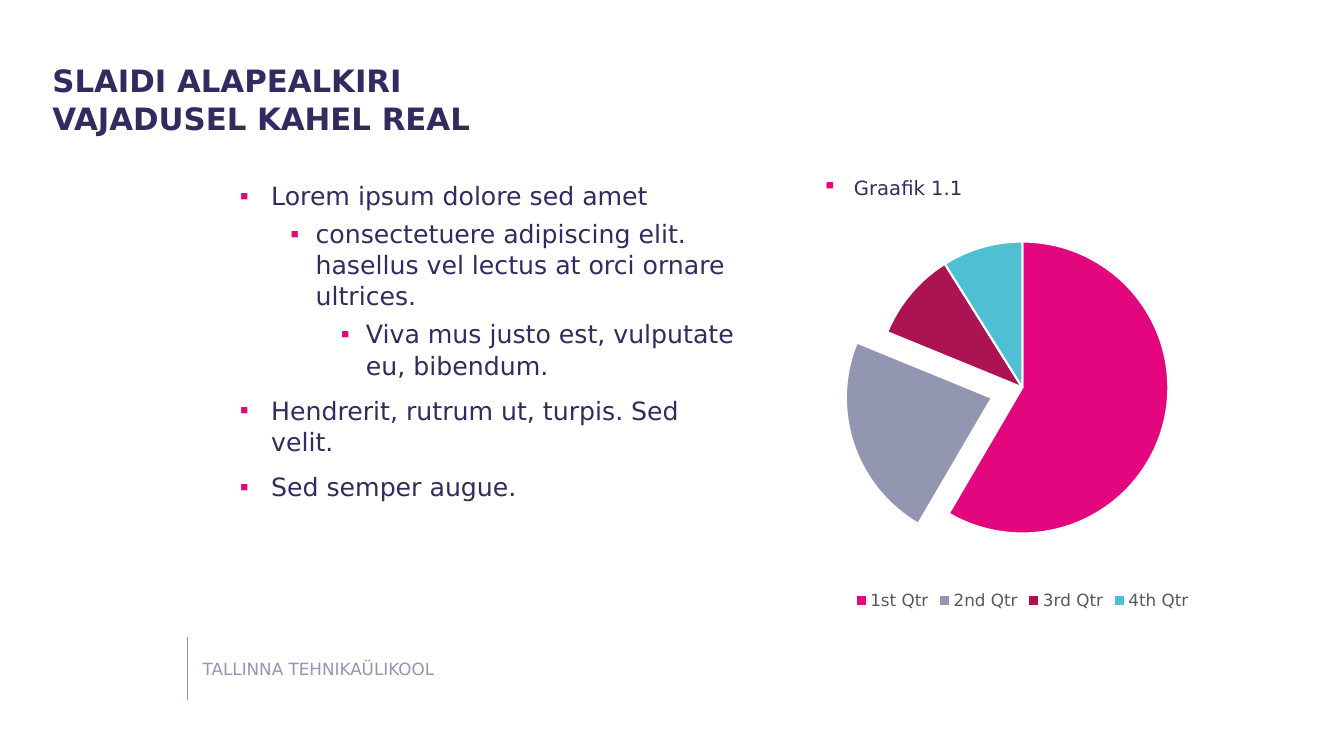
"""Build a slide with a multilevel list and a pie chart."""
from pptx import Presentation
from pptx.chart.data import CategoryChartData
from pptx.dml.color import RGBColor
from pptx.enum.chart import XL_CHART_TYPE, XL_LEGEND_POSITION
from pptx.enum.shapes import MSO_CONNECTOR
from pptx.enum.text import MSO_ANCHOR, MSO_AUTO_SIZE, PP_ALIGN
from pptx.oxml.ns import qn
from pptx.util import Inches, Pt
from lxml import etree

PIE = XL_CHART_TYPE.PIE
BOTTOM = XL_LEGEND_POSITION.BOTTOM
STRAIGHT = MSO_CONNECTOR.STRAIGHT
TOP = MSO_ANCHOR.TOP
NO_FIT = MSO_AUTO_SIZE.NONE
LEFT = PP_ALIGN.LEFT

TITLE = "SLAIDI ALAPEALKIRI\vVAJADUSEL KAHEL REAL"
BULLETS = [
    (0, "Lorem ipsum dolore sed amet"),
    (1, "consectetuere adipiscing elit. hasellus vel lectus at orci ornare ultrices."),
    (2, "Viva mus justo est, vulputate eu, bibendum."),
    (0, "Hendrerit, rutrum ut, turpis. Sed velit."),
    (0, "Sed semper augue."),
]
CAPTION = "Graafik 1.1"
FOOTER = "TALLINNA TEHNIKAÜLIKOOL"
QUARTERS = {"1st Qtr": 59, "2nd Qtr": 23, "3rd Qtr": 10, "4th Qtr": 9}
EXPLODED, EXPLOSION = 1, 22

BOXES = {
    "title": (0.52, 0.6, 6.68, 0.83),
    "list": (2.38, 1.78, 4.97, 4.53),
    "chart": (7.82, 1.94, 4.64, 4.16),
    "caption": (8.16, 1.77, 3.92, 0.34),
    "footer": (2.01, 6.53, 3.02, 0.19),
    "rule": (1.86, 6.32, 1.86, 6.94),
}
LEVELS = [(0.31, 0.31, 10), (0.75, 0.25, 5), (1.25, 0.25, 5)]


class Theme:
    """Colours, font and type sizes."""
    font = "DejaVu Sans"
    navy, grey, pink, white, legend = (
        RGBColor.from_string(c)
        for c in ("332B60", "9396B0", "E4067E", "FFFFFF", "595959"))
    slices = [pink, grey, RGBColor.from_string("AB1352"), RGBColor.from_string("4FBFD3")]
    title, body, caption, small = Pt(22), Pt(18), Pt(14), Pt(12)


def box(name):
    return [Inches(v) for v in BOXES[name]]


def set_attrs(obj, **values):
    for key, value in values.items():
        setattr(obj, key, value)


def set_font(font, size, color, bold=False):
    set_attrs(font, name=Theme.font, size=size, bold=bold)
    font.color.rgb = color


def add_bullet(p, level):
    margin, hang, _ = LEVELS[level]
    pPr = p._p.get_or_add_pPr()
    pPr.set("marL", str(Inches(margin)))
    pPr.set("indent", str(-Inches(hang)))
    color = etree.SubElement(pPr, qn("a:buClr"))
    etree.SubElement(color, qn("a:srgbClr"), val=str(Theme.pink))
    etree.SubElement(pPr, qn("a:buChar"), char="▪")


def fill_text(sp, name, lines, size, color, bold=False, bullets=True, spacing=1.0):
    left, top, width, height = box(name)
    set_attrs(sp, left=left, top=top, width=width, height=height)
    tf = sp.text_frame
    set_attrs(tf, margin_left=0, margin_top=0, margin_right=0, margin_bottom=0,
              word_wrap=True, auto_size=NO_FIT, vertical_anchor=TOP)
    for i, (level, text) in enumerate(lines):
        p = tf.add_paragraph() if i else tf.paragraphs[0]
        p.text = text
        if bullets:
            add_bullet(p, level)
        set_attrs(p, level=level, alignment=LEFT, line_spacing=spacing,
                  space_before=Pt(LEVELS[level][2] if i else 0), space_after=Pt(0))
        for r in p.runs:
            set_font(r.font, size, color, bold)


def add_pie(s):
    data = CategoryChartData()
    data.categories = list(QUARTERS)
    data.add_series("Series 1", list(QUARTERS.values()))
    chart = s.shapes.add_chart(PIE, *box("chart"), data).chart
    set_attrs(chart, has_title=False, has_legend=True)
    set_font(chart.font, Theme.small, Theme.legend)
    set_attrs(chart.legend, position=BOTTOM, include_in_layout=False)
    set_font(chart.legend.font, Theme.small, Theme.legend)
    plot = chart.plots[0]
    plot.vary_by_categories = True
    series = plot.series[0]
    for i, color in enumerate(Theme.slices):
        fmt = series.points[i].format
        fmt.fill.solid()
        fmt.fill.fore_color.rgb = color
        fmt.line.color.rgb = Theme.white
        fmt.line.width = Pt(1.5)
    spPr = series._element.findall(qn("c:dPt"))[EXPLODED].find(qn("c:spPr"))
    explosion = etree.Element(qn("c:explosion"), val=str(EXPLOSION))
    spPr.addprevious(explosion)


def add_rule(s):
    line = s.shapes.add_connector(STRAIGHT, *box("rule"))
    line.line.color.rgb = Theme.grey
    line.line.width = Pt(0.5)
    etree.SubElement(line._element.spPr, qn("a:effectLst"))


def main():
    prs = Presentation()
    set_attrs(prs, slide_width=Inches(13.33), slide_height=Inches(7.5))
    s = prs.slides.add_slide(prs.slide_layouts[1])
    fill_text(s.shapes.title, "title", [(0, TITLE)], Theme.title, Theme.navy,
              bold=True, bullets=False, spacing=1.03)
    fill_text(s.placeholders[1], "list", BULLETS, Theme.body, Theme.navy, spacing=1.03)
    add_pie(s)
    fill_text(s.shapes.add_textbox(*box("caption")), "caption", [(0, CAPTION)],
              Theme.caption, Theme.navy, spacing=0.9)
    fill_text(s.shapes.add_textbox(*box("footer")), "footer", [(0, FOOTER)],
              Theme.small, Theme.grey, bullets=False)
    add_rule(s)
    prs.save("out.pptx")


if __name__ == "__main__":
    main()
